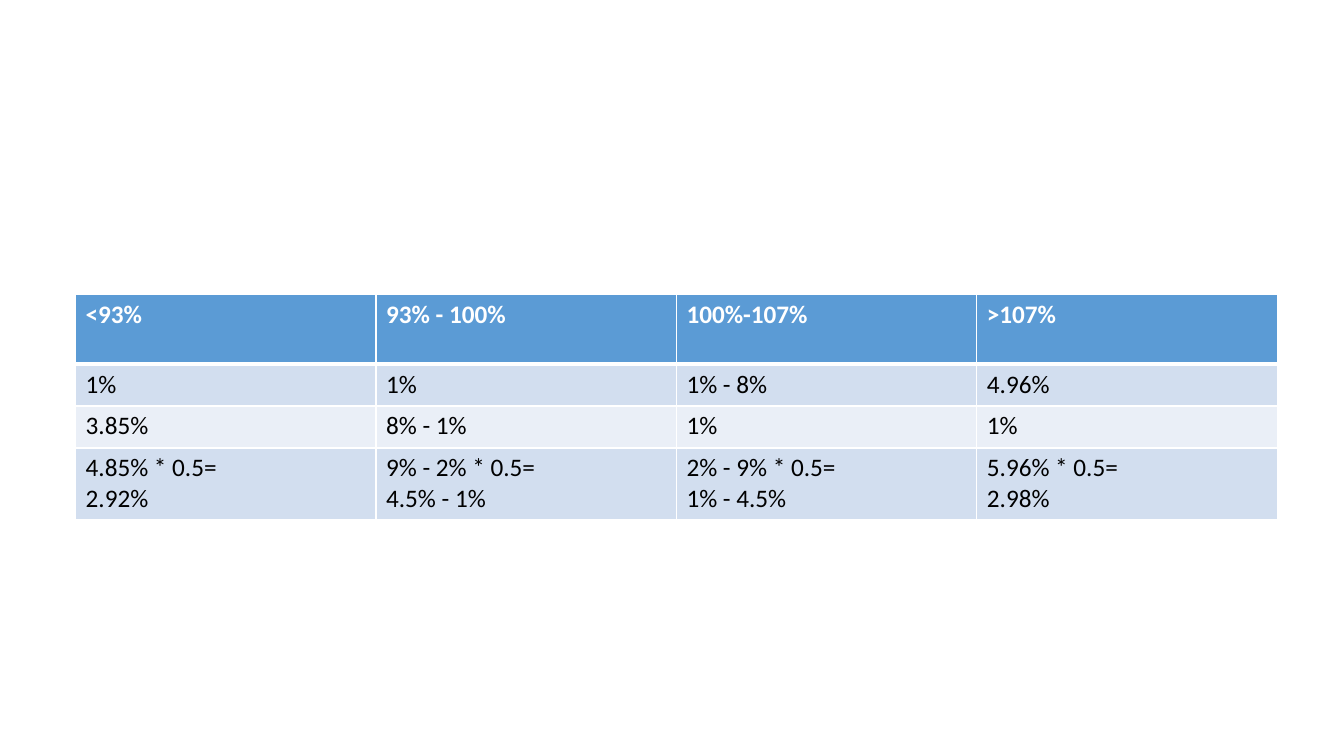
from dataclasses import dataclass

from lxml import etree
from pptx import Presentation
from pptx.dml.color import RGBColor
from pptx.oxml.ns import qn
from pptx.util import Pt

BLANK_LAYOUT = 6


@dataclass(frozen=True)
class Theme:
    font: str = "Calibri"
    size: int = 18
    header_text: str = "FFFFFF"
    body_text: str = "000000"
    header_fill: str = "5B9BD5"
    band_fills: tuple = ("D2DEEF", "EAEFF7")
    border: str = "FFFFFF"
    thin: int = 1
    thick: int = 3


THEME = Theme()

# Table content: header first, a line break starts a new paragraph
RATE_ROWS = [
    ["<93%", "93% - 100%", "100%-107%", ">107%"],
    ["1%", "1%", "1% - 8%", "4.96%"],
    ["3.85%", "8% - 1%", "1%", "1%"],
    ["4.85% * 0.5=\n2.92%", "9% - 2% * 0.5=\n4.5% - 1%",
     "2% - 9% * 0.5=\n1% - 4.5%", "5.96% * 0.5=\n2.98%"],
]
LEFT, TOP = 54, 210
COLUMN_WIDTH = 214.6
HEADER_HEIGHT, BODY_HEIGHT = 50, 30


def set_borders(cell, **widths):
    properties = cell._tc.get_or_add_tcPr()
    for side, width in widths.items():
        line = etree.SubElement(properties, qn(f"a:ln{side}"), w=str(Pt(width)))
        fill = etree.SubElement(line, qn("a:solidFill"))
        etree.SubElement(fill, qn("a:srgbClr"), val=THEME.border)


def style_cell(cell, text, row_index):
    is_header = row_index == 0
    # Borders come before the fill in the cell properties
    set_borders(
        cell, L=THEME.thin, R=THEME.thin,
        T=THEME.thick if row_index == 1 else THEME.thin,
        B=THEME.thick if is_header else THEME.thin,
    )
    band = THEME.band_fills[(row_index - 1) % 2]
    cell.fill.solid()
    cell.fill.fore_color.rgb = RGBColor.from_string(
        THEME.header_fill if is_header else band)

    # Text
    cell.text = text
    for para in cell.text_frame.paragraphs:
        para.font.name = THEME.font
        para.font.size = Pt(THEME.size)
        para.font.bold = is_header
        para.font.color.rgb = RGBColor.from_string(
            THEME.header_text if is_header else THEME.body_text)


def add_rate_table(page, rows):
    column_count = len(rows[0])
    heights = [HEADER_HEIGHT] + [BODY_HEIGHT] * (len(rows) - 1)
    table = page.shapes.add_table(
        len(rows), column_count, Pt(LEFT), Pt(TOP),
        Pt(COLUMN_WIDTH * column_count), Pt(sum(heights)),
    ).table
    for column in table.columns:
        column.width = Pt(COLUMN_WIDTH)
    for row_index, texts in enumerate(rows):
        table.rows[row_index].height = Pt(heights[row_index])
        for column_index, text in enumerate(texts):
            style_cell(table.cell(row_index, column_index), text, row_index)


def main():
    deck = Presentation()
    deck.slide_width, deck.slide_height = Pt(960), Pt(540)
    page = deck.slides.add_slide(deck.slide_layouts[BLANK_LAYOUT])
    add_rate_table(page, RATE_ROWS)
    deck.save("out.pptx")


if __name__ == "__main__":
    main()
